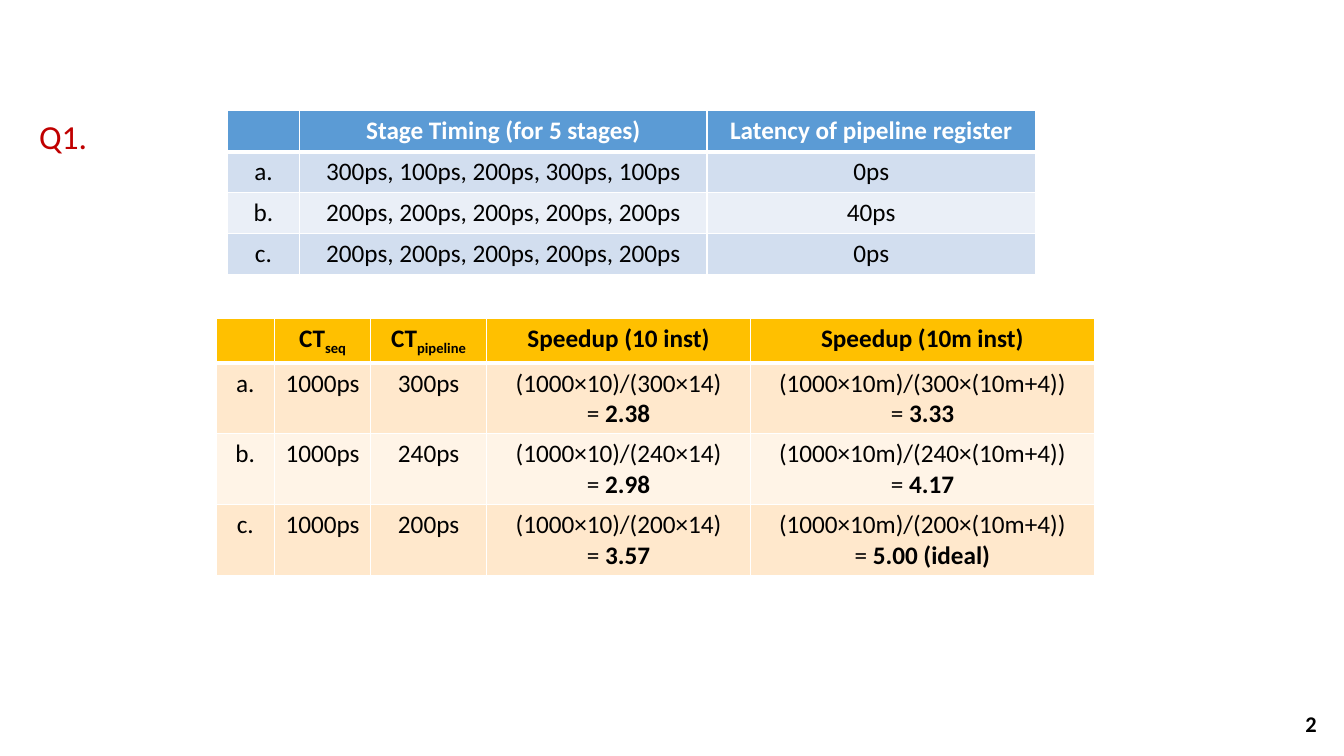
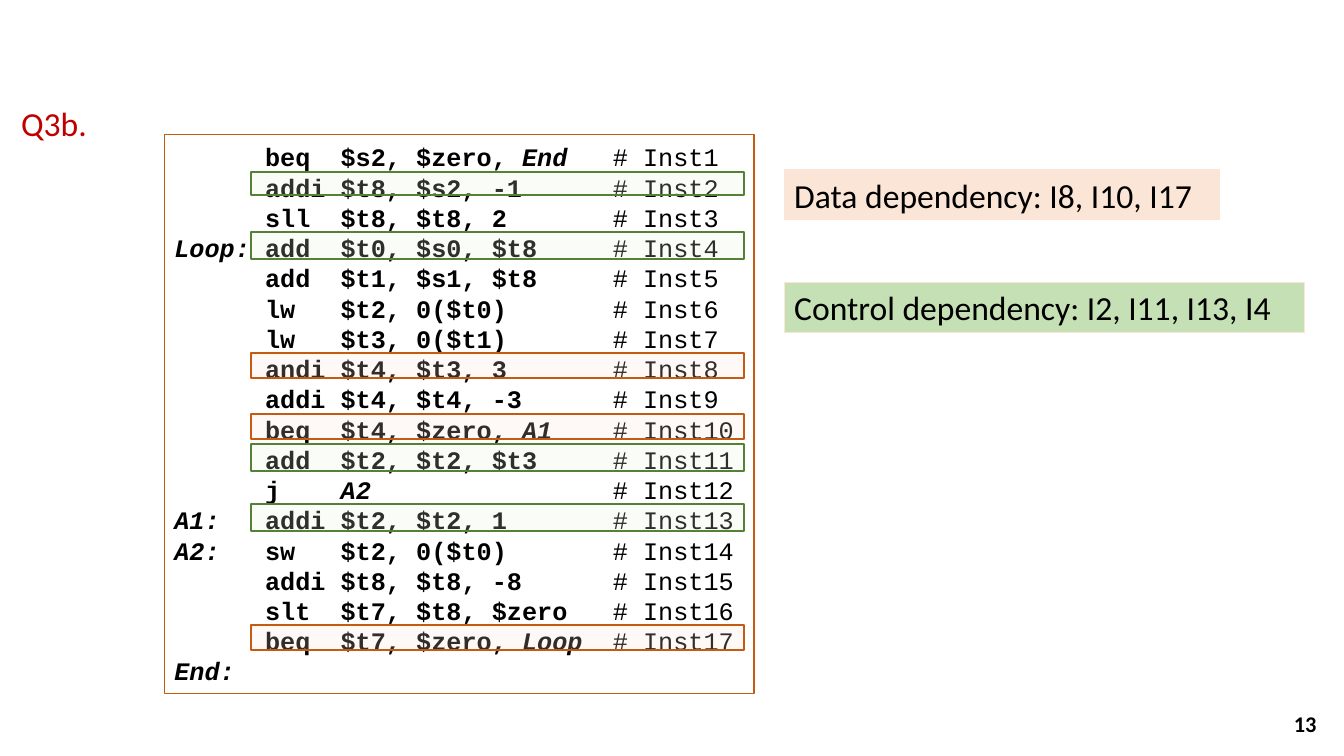
from lxml import etree
from pptx import Presentation
from pptx.dml.color import RGBColor
from pptx.enum import shapes, text
from pptx.oxml import ns
from pptx.util import Pt

COLORS = {
    "black": "000000", "white": "FFFFFF", "red": "C00000",
    "blue": "5B9BD5", "blue_band": "D2DEEF", "blue_pale": "EAEFF7",
    "gold": "FFC000", "gold_band": "FFE8CC", "gold_pale": "FFF4E7",
    "orange": "C55A11", "peach": "FBE5D6",
    "green": "548235", "mint": "E2F0D9", "leaf": "C5E0B4",
}
SANS, MONO = "Calibri", "Courier New"
ROW_HEIGHT, TALL_ROW = 29.2, 50.5
CODE_PITCH = 21.6
FIRST_MARK_TOP = 101

# Asterisks enclose the italic labels
CODE = """\
      beq  $s2, $zero, *End   *# Inst1
      addi $t8, $s2, -1      # Inst2
      sll  $t8, $t8, 2       # Inst3
*Loop:* add  $t0, $s0, $t8     # Inst4
      add  $t1, $s1, $t8     # Inst5
      lw   $t2, 0($t0)       # Inst6
      lw   $t3, 0($t1)       # Inst7
      andi $t4, $t3, 3       # Inst8
      addi $t4, $t4, -3      # Inst9
      beq  $t4, $zero, *A1    *# Inst10
      add  $t2, $t2, $t3     # Inst11
      j    *A2                *# Inst12
*A1:   *addi $t2, $t2, 1       # Inst13
*A2:   *sw   $t2, 0($t0)       # Inst14
      addi $t8, $t8, -8      # Inst15
      slt  $t7, $t8, $zero   # Inst16
      beq  $t7, $zero, *Loop  *# Inst17
*End:*"""


def rgb(name):
    return RGBColor.from_string(COLORS[name])


def style(run, size, color="black", bold=False, italic=False, face=SANS):
    font = run.font
    font.name, font.size, font.bold, font.italic = face, Pt(size), bold, italic
    font.color.rgb = rgb(color)


def add_piece(paragraph, words, size, **look):
    """Add one formatted run, skipping empty pieces."""
    if words:
        run = paragraph.add_run()
        run.text = words
        style(run, size, **look)
        return run


# Plain text
def add_label(slide, box, words, size, align, **look):
    label = slide.shapes.add_textbox(*map(Pt, box))
    frame = label.text_frame
    frame.word_wrap = True
    frame.vertical_anchor = text.MSO_ANCHOR.MIDDLE
    frame.text = words
    frame.paragraphs[0].alignment = align
    style(frame.paragraphs[0].runs[0], size, **look)


def add_question(slide, left, top, words):
    add_label(slide, (left, top, 71.3, 36), words, 24, text.PP_ALIGN.CENTER, color="red")


def add_page_number(slide, number):
    add_label(slide, (731.5, 502.6, 216, 28.8), str(number), 16,
              text.PP_ALIGN.RIGHT, bold=True)


# Rectangles
def add_panel(slide, box, line, width, fill=None, alpha=None):
    panel = slide.shapes.add_shape(shapes.MSO_SHAPE.RECTANGLE, *map(Pt, box))
    panel.shadow.inherit = False
    panel.line.color.rgb = rgb(line)
    panel.line.width = Pt(width)
    if fill:
        panel.fill.solid()
        panel.fill.fore_color.rgb = rgb(fill)
    else:
        panel.fill.background()
    if alpha:
        tint = panel.fill._xPr.find(ns.qn("a:solidFill"))[0]
        etree.SubElement(tint, ns.qn("a:alpha")).set("val", str(alpha * 1000))
    return panel


def add_note(slide, top, width, fill, words):
    note = add_panel(slide, (560.2, top, width, 36), "peach", 0.75, fill)
    frame = note.text_frame
    frame.word_wrap = True
    frame.text = words
    frame.paragraphs[0].alignment = text.PP_ALIGN.LEFT
    style(frame.paragraphs[0].runs[0], 24)


def add_code(slide, box):
    listing = add_panel(slide, box, "orange", 0.75)
    frame = listing.text_frame
    frame.word_wrap = True
    for number, line in enumerate(CODE.split("\n")):
        paragraph = frame.add_paragraph() if number else frame.paragraphs[0]
        paragraph.alignment = text.PP_ALIGN.LEFT
        paragraph.line_spacing = Pt(CODE_PITCH)
        instruction, sign, comment = line.partition("#")
        for index, piece in enumerate(instruction.split("*")):
            add_piece(paragraph, piece, 18, bold=True, italic=index % 2 == 1, face=MONO)
        add_piece(paragraph, sign + comment, 18, face=MONO)


def mark_instruction(slide, number, height, line, fill):
    top = FIRST_MARK_TOP + (number - 1) * CODE_PITCH
    add_panel(slide, (179.3, top, 352, height), line, 1.5, fill, alpha=20)


# Tables
def set_borders(cell, top, bottom):
    properties = cell._tc.get_or_add_tcPr()
    for side, width in (("L", 1), ("R", 1), ("T", top), ("B", bottom)):
        line = etree.SubElement(properties, ns.qn(f"a:ln{side}"), w=str(Pt(width)))
        fill = etree.SubElement(line, ns.qn("a:solidFill"))
        etree.SubElement(fill, ns.qn("a:srgbClr"), val=COLORS["white"])


def fill_cell(cell, words, color, bold):
    """Write a cell: * starts bold text, _ starts a subscript."""
    for number, line in enumerate(words.split("\n")):
        frame = cell.text_frame
        paragraph = frame.add_paragraph() if number else frame.paragraphs[0]
        paragraph.alignment = text.PP_ALIGN.CENTER
        normal, _, strong = line.partition("*")
        base, _, subscript = normal.partition("_")
        add_piece(paragraph, base, 18, color=color, bold=bold)
        lowered = add_piece(paragraph, subscript, 18, color=color, bold=bold)
        if lowered is not None:
            lowered.font._element.set("baseline", "-25000")
        add_piece(paragraph, strong, 18, color=color, bold=True)


def add_grid(slide, left, top, widths, body_height, rows, theme, header_color):
    heights = [ROW_HEIGHT] + [body_height] * (len(rows) - 1)
    grid = slide.shapes.add_table(len(rows), len(widths), Pt(left), Pt(top),
                                  Pt(sum(widths)), Pt(sum(heights))).table
    for column, width in zip(grid.columns, widths):
        column.width = Pt(width)
    for r, (row, height) in enumerate(zip(rows, heights)):
        grid.rows[r].height = Pt(height)
        header = r == 0
        shade = theme if header else theme + ("_band" if r % 2 else "_pale")
        for c, words in enumerate(row):
            cell = grid.cell(r, c)
            set_borders(cell, 3 if r == 1 else 1, 3 if header else 1)
            cell.fill.solid()
            cell.fill.fore_color.rgb = rgb(shade)
            fill_cell(cell, words, header_color if header else "black", header)


# Slides
def build_speedup(slide):
    add_page_number(slide, 2)
    add_question(slide, 9.4, 79.2, "Q1.")
    even_stages = ", ".join(["200ps"] * 5)
    timings = [
        ("", "Stage Timing (for 5 stages)", "Latency of pipeline register"),
        ("a.", "300ps, 100ps, 200ps, 300ps, 100ps", "0ps"),
        ("b.", even_stages, "40ps"),
        ("c.", even_stages, "0ps"),
    ]
    add_grid(slide, 162.3, 79.2, (51.8, 290.9, 234.7), ROW_HEIGHT, timings,
             "blue", "white")

    speedups = [("", "CT_seq", "CT_pipeline", "Speedup (10 inst)", "Speedup (10m inst)")]
    for case, cycle, short_run, long_run in (("a.", 300, "2.38", "3.33"),
                                             ("b.", 240, "2.98", "4.17"),
                                             ("c.", 200, "3.57", "5.00 (ideal)")):
        speedups.append((case, "1000ps", f"{cycle}ps",
                         f"(1000×10)/({cycle}×14)\n= *{short_run}",
                         f"(1000×10m)/({cycle}×(10m+4))\n= *{long_run}"))
    add_grid(slide, 154.3, 227.6, (41.8, 68.7, 82.8, 188.6, 245.5), TALL_ROW, speedups,
             "gold", "black")


def build_dependencies(slide):
    add_question(slide, 2.9, 69.8, "Q3b.")
    add_page_number(slide, 13)
    add_code(slide, (117.4, 95.8, 421.2, 399.6))
    add_note(slide, 121, 311, "peach", "Data dependency: I8, I10, I17")
    for number in (8, 10, 17):
        mark_instruction(slide, number, 18, "orange", "peach")
    add_note(slide, 201.6, 371.5, "leaf", "Control dependency: I2, I11, I13, I4")
    for number, height in ((2, 16.6), (11, 19.4), (13, 19.4), (4, 19.4)):
        mark_instruction(slide, number, height, "green", "mint")


def main():
    deck = Presentation()
    deck.slide_width, deck.slide_height = Pt(960), Pt(540)
    for build in (build_speedup, build_dependencies):
        build(deck.slides.add_slide(deck.slide_layouts[6]))
    deck.save("out.pptx")


if __name__ == "__main__":
    main()
